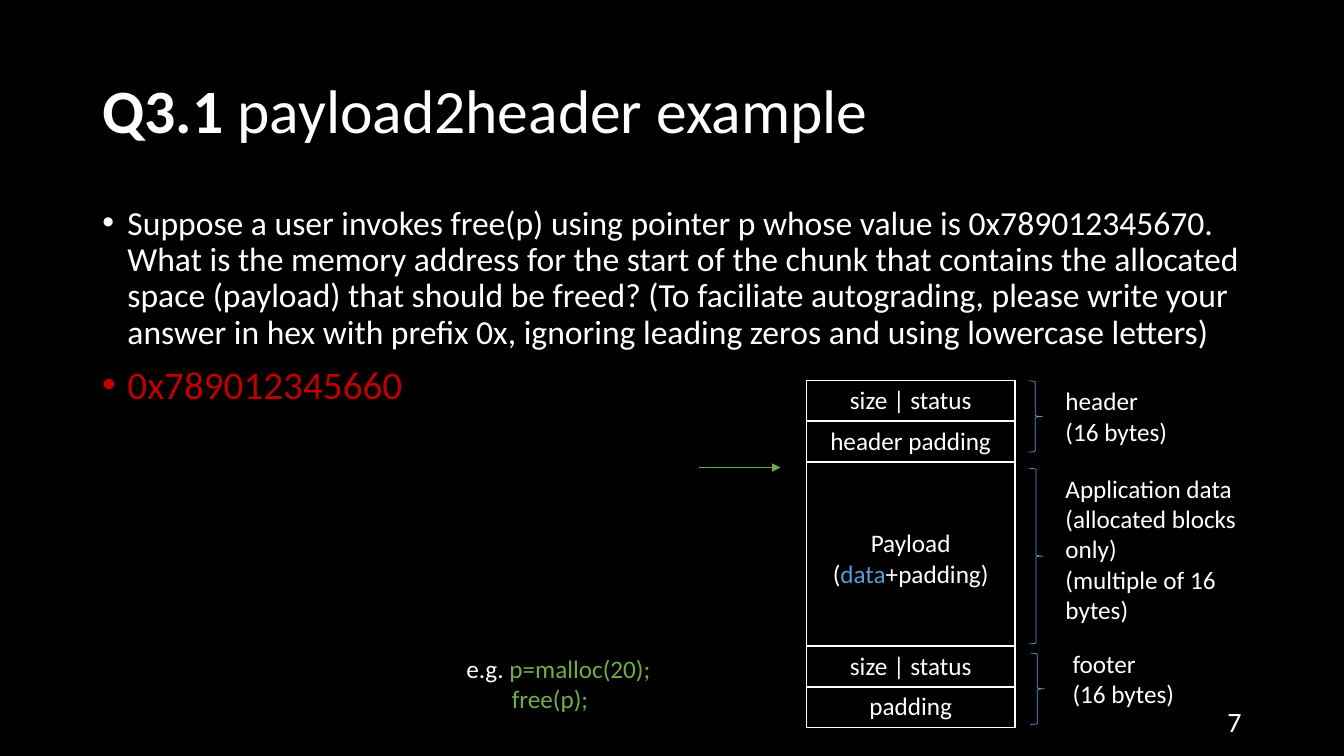
from lxml.etree import SubElement
from pptx import Presentation
from pptx.dml.color import RGBColor
from pptx.enum.shapes import MSO_CONNECTOR, MSO_SHAPE
from pptx.enum.text import MSO_ANCHOR, PP_ALIGN
from pptx.oxml import parse_xml
from pptx.oxml.ns import nsdecls, qn
from pptx.util import Pt

BLACK = RGBColor(0x00, 0x00, 0x00)
WHITE = RGBColor(0xFF, 0xFF, 0xFF)
RED = RGBColor(0xC0, 0x00, 0x00)
BLUE = RGBColor(0x5B, 0x9B, 0xD5)
GREEN = RGBColor(0x70, 0xAD, 0x47)

QUESTION = (
    "Suppose a user invokes free(p) using pointer p whose value is 0x789012345670. "
    "What is the memory address for the start of the chunk that contains the allocated "
    "space (payload) that should be freed? (To faciliate autograding, please write your "
    "answer in hex with prefix 0x, ignoring leading zeros and using lowercase letters)"
)

deck = Presentation()
deck.slide_width, deck.slide_height = Pt(960), Pt(540)
page = deck.slides.add_slide(deck.slide_layouts[6])
page.background.fill.solid()
page.background.fill.fore_color.rgb = BLACK


def write(frame, lines, size=18, align=PP_ALIGN.LEFT, anchor=MSO_ANCHOR.TOP,
          spacing=None, before=0, bullet=False):
    """Fill a frame; each line is a list of (text, format) runs, a format
    holding any of color, bold and size."""
    frame.word_wrap = True
    frame.vertical_anchor = anchor
    for number, line in enumerate(lines):
        para = frame.add_paragraph() if number else frame.paragraphs[0]
        para.alignment = align
        if spacing:
            para.line_spacing = spacing
        if number:
            para.space_before = Pt(before)
        if bullet:
            properties = para._p.get_or_add_pPr()
            properties.set("marL", str(Pt(18)))
            properties.set("indent", str(-Pt(18)))
            SubElement(properties, qn("a:buFont"), typeface="Arial")
            SubElement(properties, qn("a:buChar"), char="•")
        for text, style in line:
            span = para.add_run()
            span.text = text
            span.font.name = "Calibri"
            span.font.size = Pt(style.get("size", size))
            span.font.bold = style.get("bold", False)
            span.font.color.rgb = style.get("color", WHITE)


def add_text(left, top, width, height, lines, **style):
    box = page.shapes.add_textbox(Pt(left), Pt(top), Pt(width), Pt(height))
    write(box.text_frame, lines, **style)
    return box


add_text(66, 28.75, 828, 104.4,
         [[("Q3.1\u00a0".replace("\u00a0", " "), {"bold": True}), ("payload2header example", {})]],
         size=44, anchor=MSO_ANCHOR.MIDDLE, spacing=0.9)
add_text(66, 143.75, 828, 342.6,
         [[(QUESTION, {})], [("0x789012345660", {"color": RED, "size": 28})]],
         size=24, spacing=0.9, before=10, bullet=True)

# Memory chunk layout
chunk_rows = [
    (29.25, [[("size | status", {})]]),
    (29.25, [[("header padding", {})]]),
    (131.5, [[("Payload", {})],
             [("(", {}), ("data", {"color": BLUE}), ("+padding)", {})]]),
    (29.25, [[("size | status", {})]]),
    (29.25, [[("padding", {})]]),
]
chunk_height = sum(height for height, _ in chunk_rows)
chunk = page.shapes.add_table(len(chunk_rows), 1, Pt(576), Pt(271.5),
                              Pt(149), Pt(chunk_height)).table
chunk.first_row = chunk.horz_banding = False
for index, (height, lines) in enumerate(chunk_rows):
    chunk.rows[index].height = Pt(height)
    cell = chunk.cell(index, 0)
    cell.fill.solid()
    cell.fill.fore_color.rgb = BLACK
    write(cell.text_frame, lines, align=PP_ALIGN.CENTER)
    if len(lines) > 1:
        cell.margin_top = Pt(47.5)
    for position, side in enumerate(("lnL", "lnR", "lnT", "lnB")):
        cell._tc.get_or_add_tcPr().insert(position, parse_xml(
            f'<a:{side} {nsdecls("a")} w="{Pt(1)}"><a:solidFill>'
            f'<a:srgbClr val="{WHITE}"/></a:solidFill></a:{side}>'))

# Braces with their labels: brace left, top, height; label left, top, width, height
parts = [
    ((734.5, 272, 51), (754, 272, 93, 51), ["header", "(16 bytes)"]),
    ((735, 334.5, 125.5), (754, 334.5, 165.5, 117),
     ["Application data", "(allocated blocks only)", "(multiple of 16 bytes)"]),
    ((736, 466.5, 51), (759, 459.5, 93, 51), ["footer", "(16 bytes)"]),
]
for (left, top, height), label, lines in parts:
    brace = page.shapes.add_shape(MSO_SHAPE.RIGHT_BRACE, Pt(left), Pt(top), Pt(10), Pt(height))
    brace.shadow.inherit = False
    brace.fill.background()
    brace.line.color.rgb = BLUE
    brace.line.width = Pt(0.5)
    add_text(*label, [[(line, {})] for line in lines])

# Example call and the pointer to the payload
example = add_text(326, 463, 186, 51,
                   [[("e.g. ", {}), ("p=malloc(20);", {"color": GREEN})],
                    [("free(p);", {"color": GREEN})]])
example.text_frame.paragraphs[1]._p.get_or_add_pPr().set("marL", str(Pt(32.5)))

pointer = page.shapes.add_connector(MSO_CONNECTOR.STRAIGHT, Pt(499), Pt(334), Pt(557.5), Pt(334))
pointer.line.color.rgb = GREEN
pointer.line.width = Pt(0.5)
SubElement(pointer.line._get_or_add_ln(), qn("a:tailEnd"), type="triangle")
SubElement(pointer._element.spPr, qn("a:effectLst"))

add_text(678, 500.5, 216, 28.75, [[("7", {})]], size=20,
         align=PP_ALIGN.RIGHT, anchor=MSO_ANCHOR.MIDDLE)

deck.save("out.pptx")
